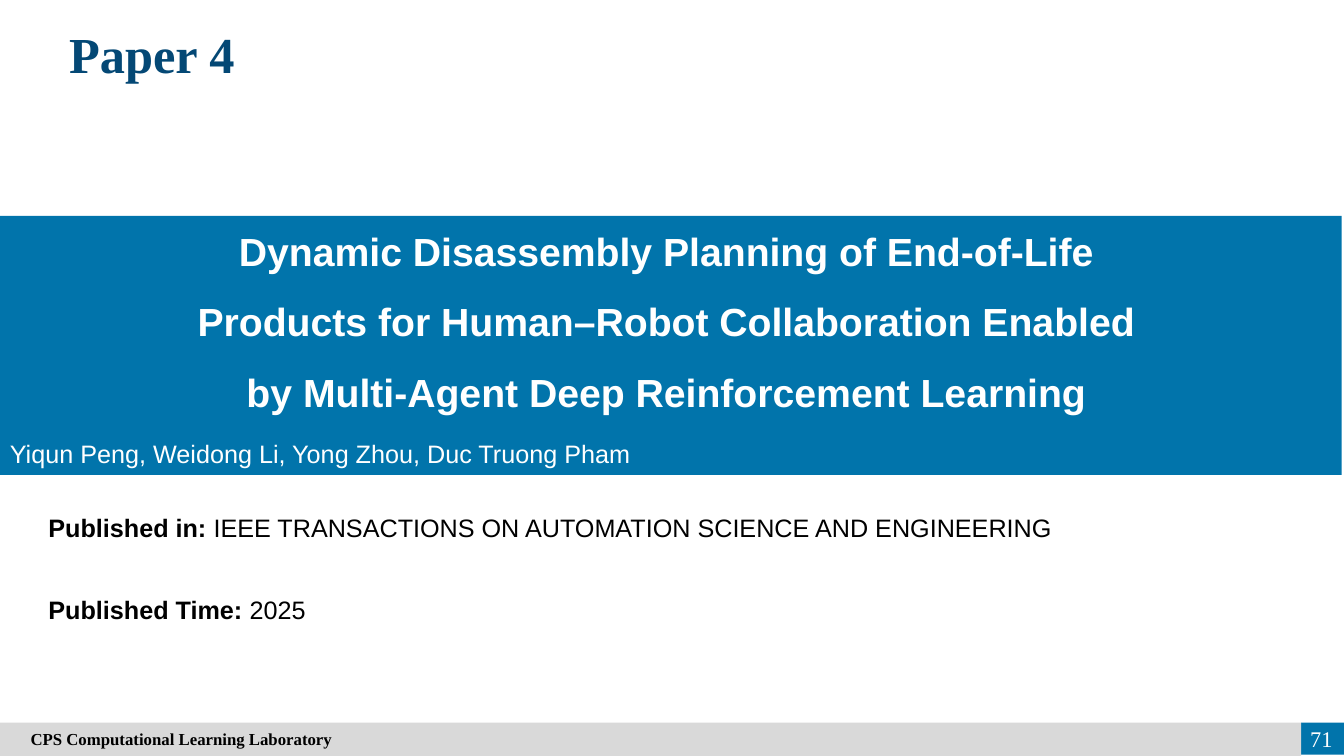
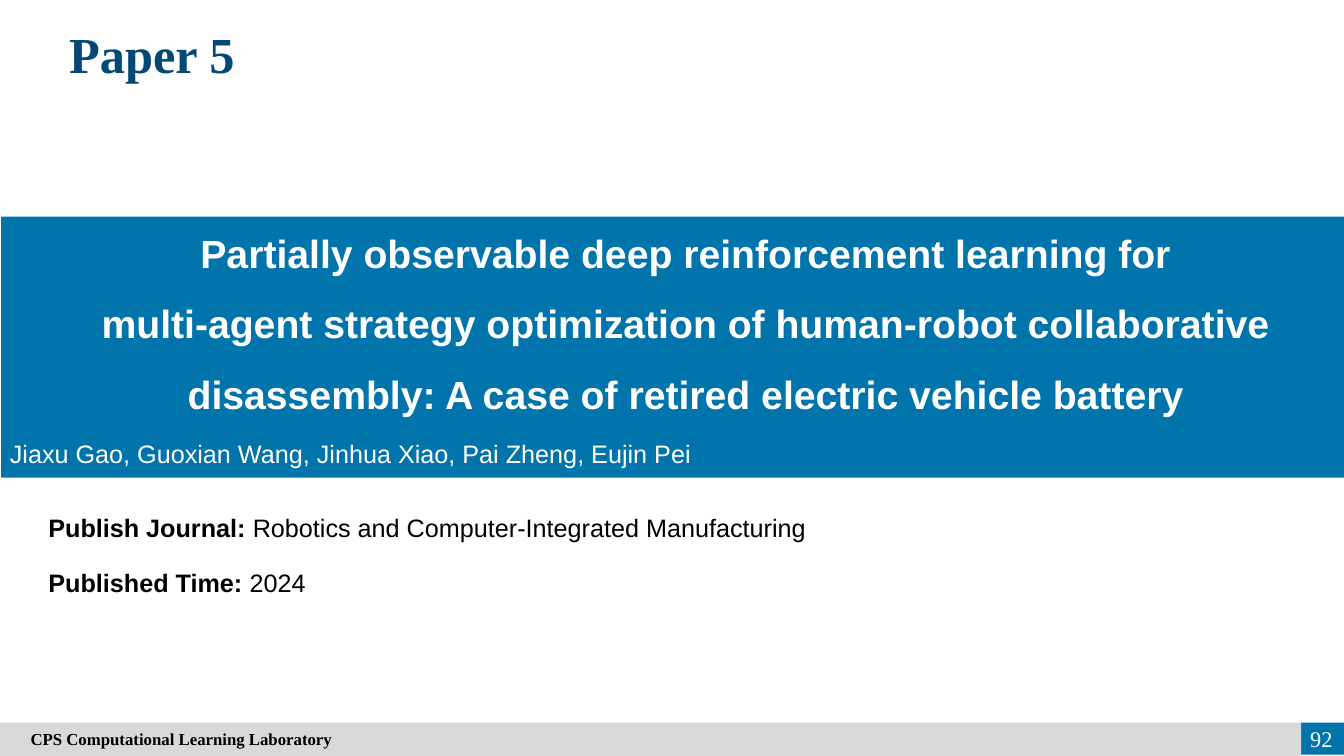
"""Build two section slides that introduce research papers."""
import pptx
import pptx.util
import pptx.dml.color
import pptx.enum.shapes
import pptx.enum.text

Cm, Pt = pptx.util.Cm, pptx.util.Pt
ALIGN = pptx.enum.text.PP_ALIGN
ANCHOR = pptx.enum.text.MSO_ANCHOR

COLORS = {"band": "0174AB", "heading": "044875", "footer": "D9D9D9",
          "white": "FFFFFF", "black": "000000"}
SANS, SERIF = "Arial", "Times New Roman"
SLIDE_W, SLIDE_H = 33.87, 19.05
FOOTER_TOP, FOOTER_W = 18.21, 32.79
MARGIN, FACTS_TOP = 0.97, 12.78
LAB = "CPS Computational Learning Laboratory"

PAPERS = [
    {
        "heading": "Paper 4",
        "title": ["Dynamic Disassembly Planning of End-of-Life",
                  "Products for Human–Robot Collaboration Enabled",
                  "by Multi-Agent Deep Reinforcement Learning"],
        "authors": "Yiqun Peng, Weidong Li, Yong Zhou, Duc Truong Pham",
        "facts": [("Published in: ", "IEEE TRANSACTIONS ON AUTOMATION SCIENCE AND ENGINEERING"),
                  ("Published Time: ", "2025")],
        "page": "71",
        "band_box": (0, 5.44, 33.81, 6.53),
        "title_box": (0.89, 4.98, 31.8, 5.64),
        "fact_step": 2.08,
    },
    {
        "heading": "Paper 5",
        "title": ["Partially observable deep reinforcement learning for",
                  "multi-agent strategy optimization of human-robot collaborative "
                  "disassembly: A case of retired electric vehicle battery"],
        "authors": "Jiaxu Gao, Guoxian Wang, Jinhua Xiao, Pai Zheng, Eujin Pei",
        "facts": [("Publish Journal: ", "Robotics and Computer-Integrated Manufacturing"),
                  ("Published Time: ", "2024")],
        "page": "92",
        "band_box": (0.03, 5.46, 33.84, 6.58),
        "title_box": (2.06, 5.03, 30.43, 5.64),
        "fact_step": 1.4,
    },
]


def rgb(name):
    return pptx.dml.color.RGBColor.from_string(COLORS[name])


def style(font, size, face, color, bold=False):
    font.size, font.name, font.bold = Pt(size), face, bold
    font.color.rgb = rgb(color)


def add_rect(s, box, color):
    sp = s.shapes.add_shape(pptx.enum.shapes.MSO_SHAPE.RECTANGLE, *map(Cm, box))
    sp.shadow.inherit = False
    sp.fill.solid()
    sp.fill.fore_color.rgb = rgb(color)
    sp.line.fill.background()
    return sp


def fill_text(sp, lines, size, face, color, bold=False, align=ALIGN.LEFT,
              anchor=ANCHOR.TOP, spacing=None):
    tf = sp.text_frame
    tf.word_wrap = True
    tf.vertical_anchor = anchor
    tf.text = "\n".join(lines)
    for p in tf.paragraphs:
        p.alignment = align
        p.line_spacing = spacing
        for r in p.runs:
            style(r.font, size, face, color, bold)
    return tf


def add_text(s, box, lines, *args, **kwargs):
    return fill_text(s.shapes.add_textbox(*map(Cm, box)), lines, *args, **kwargs)


def add_frame(s, heading, page):
    add_text(s, (MARGIN, 0.46, 5.72, 1.8), [heading], 36, SERIF, "heading",
             bold=True, align=ALIGN.CENTER)
    add_rect(s, (FOOTER_W, FOOTER_TOP, SLIDE_W - FOOTER_W, 0.81), "band")
    footer = add_rect(s, (0, FOOTER_TOP, FOOTER_W, SLIDE_H - FOOTER_TOP), "footer")
    tf = fill_text(footer, [LAB], 12, SERIF, "black", bold=True, anchor=ANCHOR.MIDDLE)
    tf.margin_left = Cm(0.77)
    add_text(s, (32.23, 18.11, 1.6, 1.02), [page], 16, SERIF, "white",
             align=ALIGN.RIGHT, anchor=ANCHOR.MIDDLE)


def add_paper(prs, paper):
    s = prs.slides.add_slide(prs.slide_layouts[6])
    add_rect(s, paper["band_box"], "band")
    add_text(s, paper["title_box"], paper["title"], 28, SANS, "white", bold=True,
             align=ALIGN.CENTER, anchor=ANCHOR.MIDDLE, spacing=1.5)
    add_text(s, (0, 10.92, SLIDE_W, 1.02), [paper["authors"]], 18, SANS, "white")
    add_frame(s, paper["heading"], paper["page"])
    for i, (label, value) in enumerate(paper["facts"]):
        box = (MARGIN, FACTS_TOP + i * paper["fact_step"], 32.36, 1.02)
        tf = add_text(s, box, [label], 18, SANS, "black", bold=True)
        r = tf.paragraphs[0].add_run()
        r.text = value
        style(r.font, 18, SANS, "black")


def main():
    prs = pptx.Presentation()
    prs.slide_width, prs.slide_height = Cm(SLIDE_W), Cm(SLIDE_H)
    for paper in PAPERS:
        add_paper(prs, paper)
    prs.save("out.pptx")


if __name__ == "__main__":
    main()
